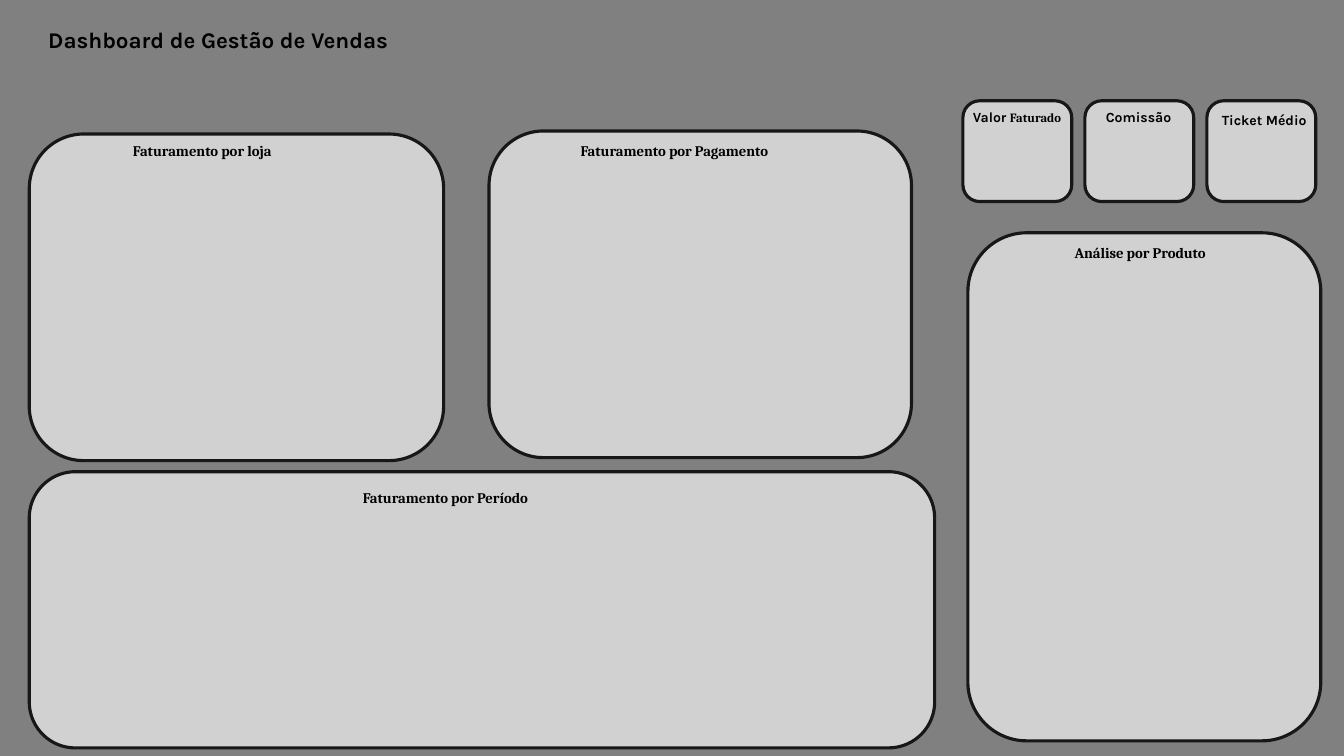
from pptx import Presentation
from pptx.dml.color import RGBColor
from pptx.enum.shapes import MSO_SHAPE
from pptx.enum.text import MSO_AUTO_SIZE
from pptx.util import Inches, Pt

BACKGROUND, PANEL_FILL, PANEL_LINE, INK = "808080", "D1D1D1", "171717", "000000"

TITLE = "Dashboard de Gestão de Vendas"

# panel box, heading, heading box (left, top, width, height)
PANELS = [
    ((0.29, 4.68, 8.98, 2.74), "Faturamento por Período", (3.5, 4.8, 3.5, 0.28)),
    ((9.6, 2.31, 3.5, 5.04), "Análise por Produto", (10.56, 2.37, 2.5, 0.28)),
    ((4.85, 1.3, 4.19, 3.24), "Faturamento por Pagamento", (5.66, 1.36, 3.5, 0.28)),
    ((0.29, 1.33, 4.11, 3.24), "Faturamento por loja", (1.22, 1.36, 3.5, 0.28)),
]

# heading runs (text, font, size), heading box
KPI_CARDS = [
    ([("Valor ", "Karla", 10), ("Faturado", "Cambria", 9)], (9.55, 1.03, 1.48, 0.27)),
    ([("Comissão", "Karla", 10)], (10.87, 1.03, 0.97, 0.27)),
    ([("Ticket Médio", "Karla", 10)], (12.02, 1.06, 1.08, 0.27)),
]
KPI_LEFT, KPI_TOP, KPI_WIDTH, KPI_HEIGHT, KPI_STEP = 9.55, 1, 1.08, 1, 1.21


def color(hex_value):
    return RGBColor.from_string(hex_value)


def add_panel(slide, box):
    panel = slide.shapes.add_shape(MSO_SHAPE.ROUNDED_RECTANGLE, *map(Inches, box))
    panel.shadow.inherit = False
    panel.fill.solid()
    panel.fill.fore_color.rgb = color(PANEL_FILL)
    panel.line.color.rgb = color(PANEL_LINE)
    panel.line.width = Pt(2.25)


def add_text(slide, runs, box, bold=True, ink=INK):
    """Add a one-line text box; each run is (text, font, size)."""
    frame = slide.shapes.add_textbox(*map(Inches, box)).text_frame
    frame.word_wrap = True
    frame.auto_size = MSO_AUTO_SIZE.SHAPE_TO_FIT_TEXT
    for text, font, size in runs:
        run = frame.paragraphs[0].add_run()
        run.text = text
        run.font.name = font
        run.font.size = Pt(size)
        run.font.bold = bold
        run.font.color.rgb = color(ink)


def main():
    presentation = Presentation()
    presentation.slide_width = Inches(13.33)
    presentation.slide_height = Inches(7.5)
    slide = presentation.slides.add_slide(presentation.slide_layouts[6])
    slide.background.fill.solid()
    slide.background.fill.fore_color.rgb = color(BACKGROUND)

    add_text(slide, [(TITLE, "Karla", 16)], (0.38, 0.21, 4.87, 0.37))
    for panel_box, heading, heading_box in PANELS:
        add_panel(slide, panel_box)
        add_text(slide, [(heading, "Cambria", 10.5)], heading_box)
    for index, (heading_runs, heading_box) in enumerate(KPI_CARDS):
        card_left = KPI_LEFT + index * KPI_STEP
        add_panel(slide, (card_left, KPI_TOP, KPI_WIDTH, KPI_HEIGHT))
        add_text(slide, heading_runs, heading_box)

    presentation.save("out.pptx")


if __name__ == "__main__":
    main()
